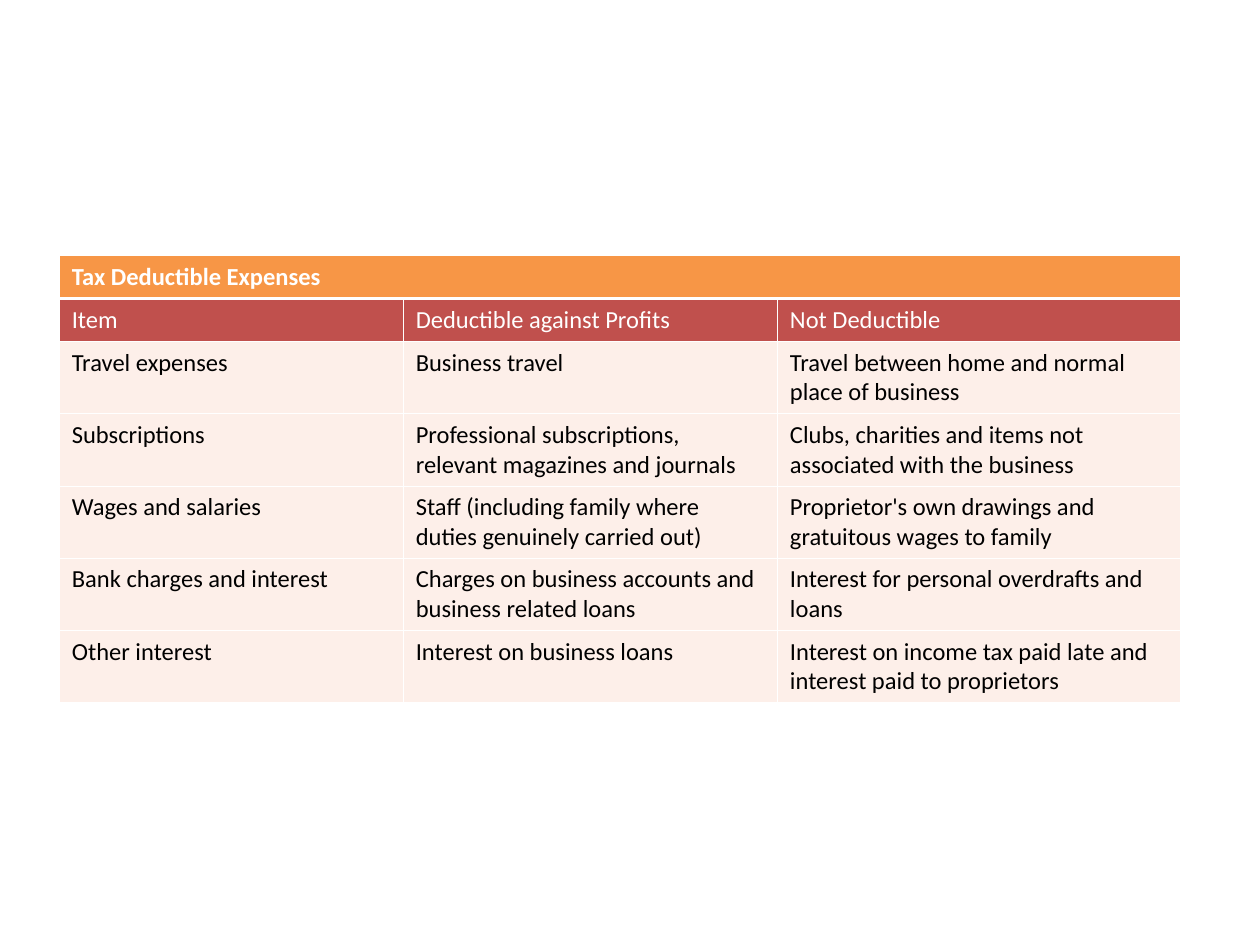
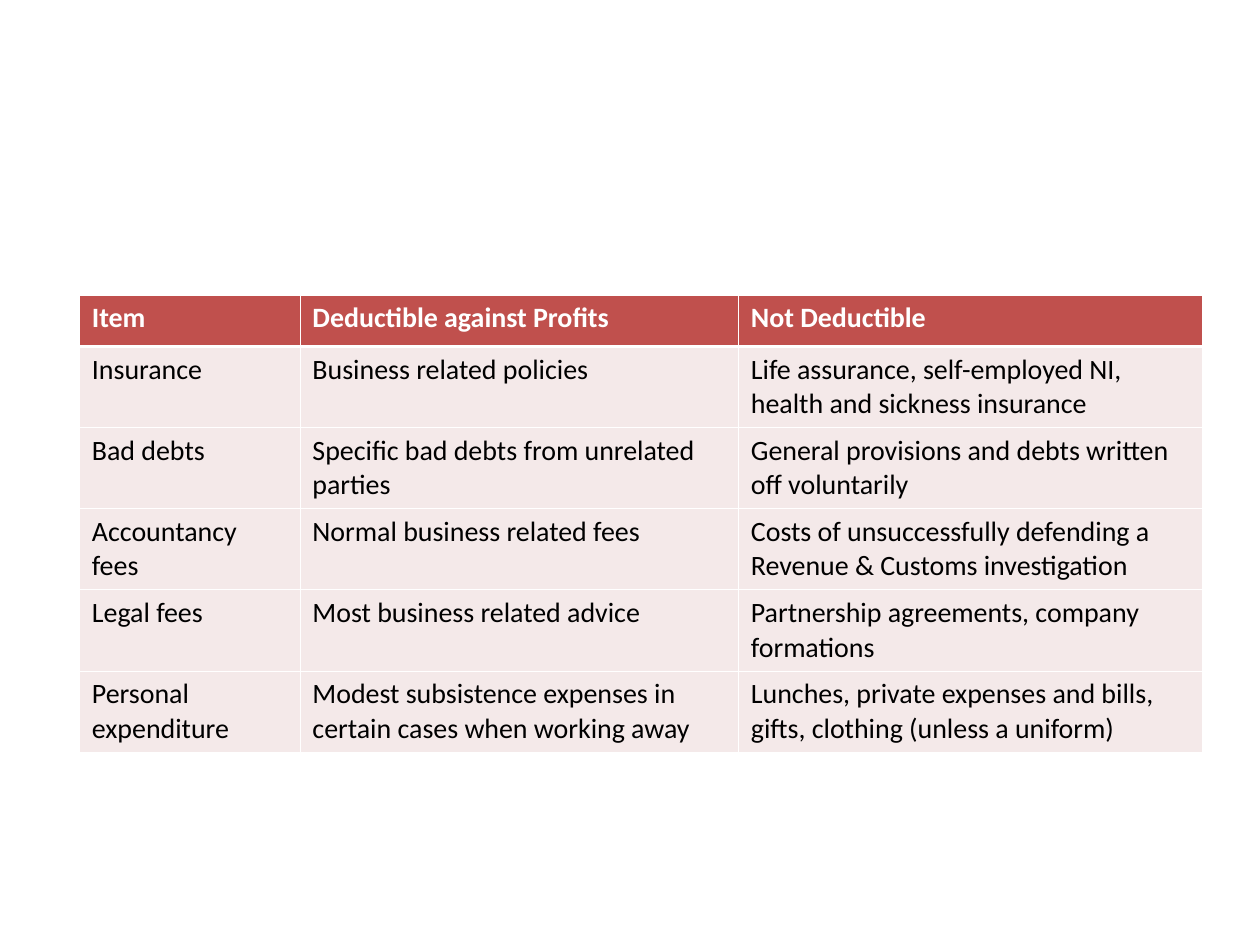
"""Builds two slides with tables of tax deductible expenses."""
from lxml import etree
from pptx import Presentation
from pptx.dml.color import RGBColor
from pptx.oxml.ns import qn
from pptx.util import Inches, Pt

FONT = "Calibri"
WHITE, BLACK, ORANGE, RED = "FFFFFF", "000000", "F79646", "C0504D"
THIN, THICK = 0.45, 1.47
HEADINGS = ("Item", "Deductible against Profits", "Not Deductible")

TABLES = [
    {
        "title": "Tax Deductible Expenses",
        "rows": [
            ("Travel expenses", "Business travel",
             "Travel between home and normal place of business"),
            ("Subscriptions",
             "Professional subscriptions, relevant magazines and journals",
             "Clubs, charities and items not associated with the business"),
            ("Wages and salaries",
             "Staff (including family where duties genuinely carried out)",
             "Proprietor's own drawings and gratuitous wages to family"),
            ("Bank charges and interest",
             "Charges on business accounts and business related loans",
             "Interest for personal overdrafts and loans"),
            ("Other interest", "Interest on business loans",
             "Interest on income tax paid late and interest paid to proprietors"),
        ],
        "at": (0.47, 2.03), "widths": (2.73, 2.97, 3.2),
        "head_height": 0.34, "row_height": 0.57, "size": 14, "tint": "FDEFE9",
    },
    {
        "title": None,
        "rows": [
            ("Insurance", "Business related policies",
             "Life assurance, self-employed NI, health and sickness insurance"),
            ("Bad debts", "Specific bad debts from unrelated parties",
             "General provisions and debts written off voluntarily"),
            ("Accountancy fees", "Normal business related fees",
             "Costs of unsuccessfully defending a Revenue & Customs investigation"),
            ("Legal fees", "Most business related advice",
             "Partnership agreements, company formations"),
            ("Personal expenditure",
             "Modest subsistence expenses in certain cases when working away",
             "Lunches, private expenses and bills, gifts, clothing (unless a uniform)"),
        ],
        "at": (0.63, 2.34), "widths": (1.75, 3.48, 3.68),
        "head_height": 0.41, "row_height": 0.64, "size": 16, "tint": "F4E9E9",
    },
]


def rgb(color):
    return RGBColor.from_string(color)


def add_text(tf, text, size=14, color=BLACK, bold=False):
    r = tf.paragraphs[0].add_run()
    r.text = text
    r.font.name, r.font.size, r.font.bold = FONT, Pt(size), bold
    r.font.color.rgb = rgb(color)


def set_borders(cell, **widths):
    tc_pr = cell._tc.get_or_add_tcPr()
    for side in "LRTB":
        ln = etree.SubElement(tc_pr, qn("a:ln" + side),
                              w=str(Pt(widths.get(side, THIN))))
        fill = etree.SubElement(ln, qn("a:solidFill"))
        etree.SubElement(fill, qn("a:srgbClr"), val=WHITE)


def add_expense_table(s, spec):
    lines = [(HEADINGS, RED)] + [(row, spec["tint"]) for row in spec["rows"]]
    if spec["title"]:
        lines.insert(0, ((spec["title"], "", ""), ORANGE))
    head_count = len(lines) - len(spec["rows"])
    heights = ([spec["head_height"]] * head_count
               + [spec["row_height"]] * len(spec["rows"]))
    left, top = spec["at"]
    table = s.shapes.add_table(
        len(lines), len(HEADINGS), Inches(left), Inches(top),
        Inches(sum(spec["widths"])), Inches(sum(heights))).table
    for column, width in zip(table.columns, spec["widths"]):
        column.width = Inches(width)
    if spec["title"]:
        table.cell(0, 0).merge(table.cell(0, len(HEADINGS) - 1))
    for i, (texts, fill) in enumerate(lines):
        table.rows[i].height = Inches(heights[i])
        color = WHITE if i < head_count else BLACK
        for j, text in enumerate(texts):
            cell = table.cell(i, j)
            set_borders(cell, T=THICK if i == 1 else THIN,
                        B=THICK if i == 0 else THIN)
            cell.fill.solid()
            cell.fill.fore_color.rgb = rgb(fill)
            if text:
                add_text(cell.text_frame, text, size=spec["size"],
                         color=color, bold=i == 0)


def main():
    prs = Presentation()
    prs.slide_width, prs.slide_height = Inches(10), Inches(7.5)
    for spec in TABLES:
        add_expense_table(prs.slides.add_slide(prs.slide_layouts[6]), spec)
    prs.save("out.pptx")


if __name__ == "__main__":
    main()
